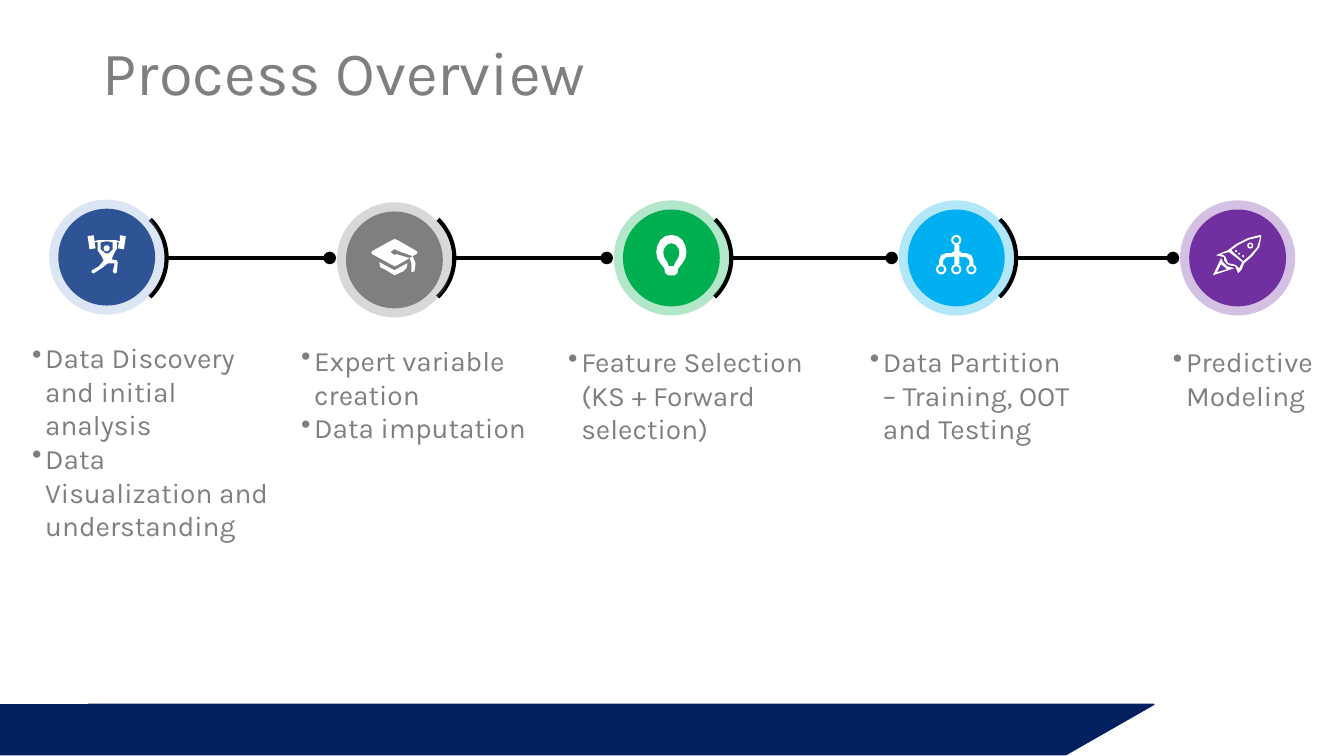
import math
from dataclasses import dataclass

import pptx
import pptx.dml.color
import pptx.enum.shapes
import pptx.enum.text
import pptx.oxml.ns
import pptx.util
import lxml.etree

Cm = pptx.util.Cm
SHAPE = pptx.enum.shapes.MSO_SHAPE
ICON_UNIT = Cm(2.54) / 100


@dataclass(frozen=True)
class Theme:
    font: str = "Karla"
    title_size: int = 44
    detail_size: int = 20
    text: str = "7F7F7F"
    link: str = "000000"
    icon: str = "FFFFFF"
    band: str = "002060"
    halo_alpha: int = 30


THEME = Theme()


@dataclass(frozen=True)
class Stage:
    """Centre of the medallion and box of the details are in centimetres."""
    centre: tuple
    disc: str
    halo: str
    icon: tuple
    detail_box: tuple
    details: tuple


def dot(x, y, radius):
    """Outline of a small circle in icon units."""
    angles = [math.tau * step / 24 for step in range(24)]
    return [(x + radius * math.cos(a), y + radius * math.sin(a)) for a in angles]


def ring(x, y, outer, inner):
    return [dot(x, y, outer), dot(x, y, inner)]


# Each icon: width, height and closed outlines; an outline inside another is a hole.
WEIGHTLIFTER = (38, 38, [
    [(38, 1), (36, 14), (30, 13), (31, 7), (29, 7), (29, 14), (28, 15), (25, 21), (24, 24),
     (29, 25), (30, 27), (29, 37), (27, 38), (25, 36), (27, 28), (20, 28), (15, 32), (6, 38),
     (4, 37), (4, 35), (11, 31), (16, 25), (14, 21), (10, 15), (10, 7), (7, 7), (8, 13),
     (2, 14), (0, 1), (6, 0), (7, 6), (10, 5), (28, 5), (32, 6), (32, 0)],
    [(25, 7), (19, 6), (13, 7), (13, 14), (18, 18), (21, 18), (25, 14)],
    dot(19, 13, 3)])
GRADUATION_CAP = (46, 36, [
    [(45, 12), (26, 1), (23, 0), (21, 1), (1, 12), (0, 13.5), (1, 15), (21, 26), (23.5, 27),
     (26, 26), (38, 19), (25, 15), (23, 16), (19, 13), (23, 10), (27, 12), (41, 17), (45, 15),
     (46, 13.5)],
    [(8, 23), (9, 28), (15, 31), (23, 36), (32, 32), (35, 29), (36, 24), (23, 31)],
    [(40, 33), (43, 32), (44, 24), (41, 17), (38, 19), (40, 24)]])
LIGHT_BULB = (30, 40, [
    [(15, 0), (9, 1.2), (4, 5), (1, 11), (0, 17), (1, 23), (4, 28), (8, 33), (9, 38), (12, 40),
     (18, 40), (21, 38), (22, 33), (26, 28), (29, 23), (30, 17), (29, 11), (26, 5), (21, 1.2)],
    [(15, 8), (11, 9.5), (8, 13), (7, 17), (7.5, 21), (9, 24), (11, 27), (12.5, 31),
     (17.5, 31), (19, 27), (21, 24), (22.5, 21), (23, 17), (22, 13), (19, 9.5)]])
TREE = (40, 40, [
    [(18, 10), (23, 10), (23, 16), (26, 18), (30, 18), (35, 20), (37, 25), (37, 29), (33, 29),
     (33, 25), (30, 22), (26, 22), (23, 21), (23, 29), (18, 29), (18, 21), (15, 22), (10, 22),
     (7, 25), (7, 29), (3, 29), (3, 25), (5, 20), (10, 18), (15, 18), (18, 16)],
    *ring(20, 5, 5, 3), *ring(5, 34, 5, 3), *ring(20, 34, 5, 3), *ring(35, 34, 5, 3)])
ROCKET = (49, 40, [
    [(48, 1), (47, 0), (35, 3), (23, 9), (15, 15), (3, 20), (11, 22), (11, 25), (14, 29),
     (20, 31), (22, 31), (25, 38), (28, 35), (31, 28), (39, 21), (46, 12)],
    [(37, 20), (30, 26), (18, 15), (25, 10), (36, 4.5), (47, 2), (44, 12)],
    [(29, 27), (26, 33), (23, 30), (20, 29), (15, 28), (13, 23), (12, 21), (8, 19), (16, 17)],
    [(8, 23), (0, 40), (21, 33), (14, 31), (10, 27)],
    [(4, 37), (8, 29), (14, 34)],
    *ring(37, 10.5, 3, 1.5), dot(23, 16, 1), dot(26, 18.5, 1), dot(30, 21, 1)])

STAGES = [
    Stage((2.69, 6.48), "2F5496", "8DA9DB", WEIGHTLIFTER, (0.56, 8.46, 6.48, 3.68),
          ("Data Discovery and initial analysis", "Data Visualization and understanding")),
    Stage((9.94, 6.55), "7F7F7F", "7F7F7F", GRADUATION_CAP, (7.34, 8.53, 6.58, 3.68),
          ("Expert variable creation", "Data imputation")),
    Stage((16.92, 6.5), "00B050", "00B050", LIGHT_BULB, (14.07, 8.56, 6.43, 2.82),
          ("Feature Selection (KS + Forward selection)",)),
    Stage((24.1, 6.5), "00B0F0", "00B0F0", TREE, (21.67, 8.56, 5.77, 2.82),
          ("Data Partition – Training, OOT and Testing",)),
    Stage((31.19, 6.5), "7030A0", "7030A0", ROCKET, (29.31, 8.56, 4.55, 1.96),
          ("Predictive Modeling",)),
]


def rgb(colour):
    return pptx.dml.color.RGBColor.from_string(colour)


def add_xml(parent, tag, **attributes):
    return lxml.etree.SubElement(parent, pptx.oxml.ns.qn(tag), attributes)


def paint(shape, colour):
    shape.shadow.inherit = False
    shape.fill.solid()
    shape.fill.fore_color.rgb = rgb(colour)
    shape.line.fill.background()


def style_font(paragraph, size):
    paragraph.font.name = THEME.font
    paragraph.font.size = pptx.util.Pt(size)
    paragraph.font.color.rgb = rgb(THEME.text)


def style_link(line):
    line.color.rgb = rgb(THEME.link)
    line.width = pptx.util.Pt(3)


def add_title(slide, left, top, width, height):
    title = slide.shapes.title
    title.left, title.top, title.width, title.height = map(Cm, (left, top, width, height))
    title.text_frame.text = "Process Overview"
    title.text_frame.vertical_anchor = pptx.enum.text.MSO_ANCHOR.MIDDLE
    heading = title.text_frame.paragraphs[0]
    heading.alignment = pptx.enum.text.PP_ALIGN.LEFT
    heading.line_spacing = 0.9
    style_font(heading, THEME.title_size)


def add_footer_band(slide, left, top, width, height):
    slanted = slide.shapes.add_shape(
        SHAPE.PARALLELOGRAM, Cm(left), Cm(top), Cm(width), Cm(height))
    slanted.adjustments[0] = 1.75
    square_end = slide.shapes.add_shape(
        SHAPE.RECTANGLE, Cm(left), Cm(top), Cm(2.82), Cm(height))
    for part in (slanted, square_end):
        paint(part, THEME.band)
        part.line.color.rgb = rgb(THEME.band)
        part.line.width = pptx.util.Pt(1)


def add_centred(slide, kind, x, y, size):
    return slide.shapes.add_shape(
        kind, Cm(x - size / 2), Cm(y - size / 2), Cm(size), Cm(size))


def add_link(slide, x, y, next_x):
    """Arc beside the medallion at x and a line towards the next one."""
    arc_size, arc_x = 2.72, x + 0.15
    arc = add_centred(slide, SHAPE.ARC, arc_x, y, arc_size)
    arc.shadow.inherit = False
    arc.rotation = 270
    arc.adjustments[0], arc.adjustments[1] = 26.57, 81.76
    arc.fill.background()
    style_link(arc.line)
    link = slide.shapes.add_connector(
        pptx.enum.shapes.MSO_CONNECTOR.STRAIGHT,
        Cm(arc_x + arc_size / 2), Cm(y), Cm(next_x - 1.63), Cm(y))
    style_link(link.line)
    properties = link._element.spPr
    add_xml(properties.find(pptx.oxml.ns.qn("a:ln")), "a:tailEnd", type="oval")
    add_xml(properties, "a:effectLst")


def add_icon(slide, icon, x, y):
    width, height, outlines = icon
    left, top = Cm(x) - width * ICON_UNIT / 2, Cm(y) - height * ICON_UNIT / 2
    placed = [[(left + px * ICON_UNIT, top + py * ICON_UNIT) for px, py in outline]
              for outline in outlines]
    builder = slide.shapes.build_freeform(*placed[0][0])
    for outline in placed:
        builder.move_to(*outline[0])
        builder.add_line_segments(outline[1:], close=True)
    paint(builder.convert_to_shape(), THEME.icon)


def add_medallion(slide, stage):
    x, y = stage.centre
    halo = add_centred(slide, SHAPE.OVAL, x, y, 2.9)
    paint(halo, stage.halo)
    halo_colour = halo._element.spPr.find(".//" + pptx.oxml.ns.qn("a:srgbClr"))
    add_xml(halo_colour, "a:alpha", val=str(THEME.halo_alpha * 1000))
    paint(add_centred(slide, SHAPE.OVAL, x, y, 2.44), stage.disc)
    add_icon(slide, stage.icon, x, y - 0.07)


def add_details(slide, stage):
    frame = slide.shapes.add_textbox(*map(Cm, stage.detail_box)).text_frame
    frame.word_wrap = True
    frame.text = "\n".join(stage.details)
    for detail in frame.paragraphs:
        properties = detail._p.get_or_add_pPr()
        properties.set("marL", str(Cm(0.33)))
        properties.set("indent", str(-Cm(0.33)))
        add_xml(add_xml(properties, "a:buClr"), "a:srgbClr", val=THEME.text)
        add_xml(properties, "a:buChar", char="•")
        style_font(detail, THEME.detail_size)


def main():
    deck = pptx.Presentation()
    deck.slide_width, deck.slide_height = Cm(33.87), Cm(19.05)
    slide = deck.slides.add_slide(deck.slide_layouts[5])
    add_footer_band(slide, 0, 17.75, 29.08, 1.27)
    add_title(slide, 2.34, 0.61, 29.21, 2.59)
    for stage, following in zip(STAGES, STAGES[1:]):
        add_link(slide, stage.centre[0], 6.5, following.centre[0])
    for stage in STAGES:
        add_medallion(slide, stage)
        add_details(slide, stage)
    deck.save("out.pptx")


if __name__ == "__main__":
    main()
